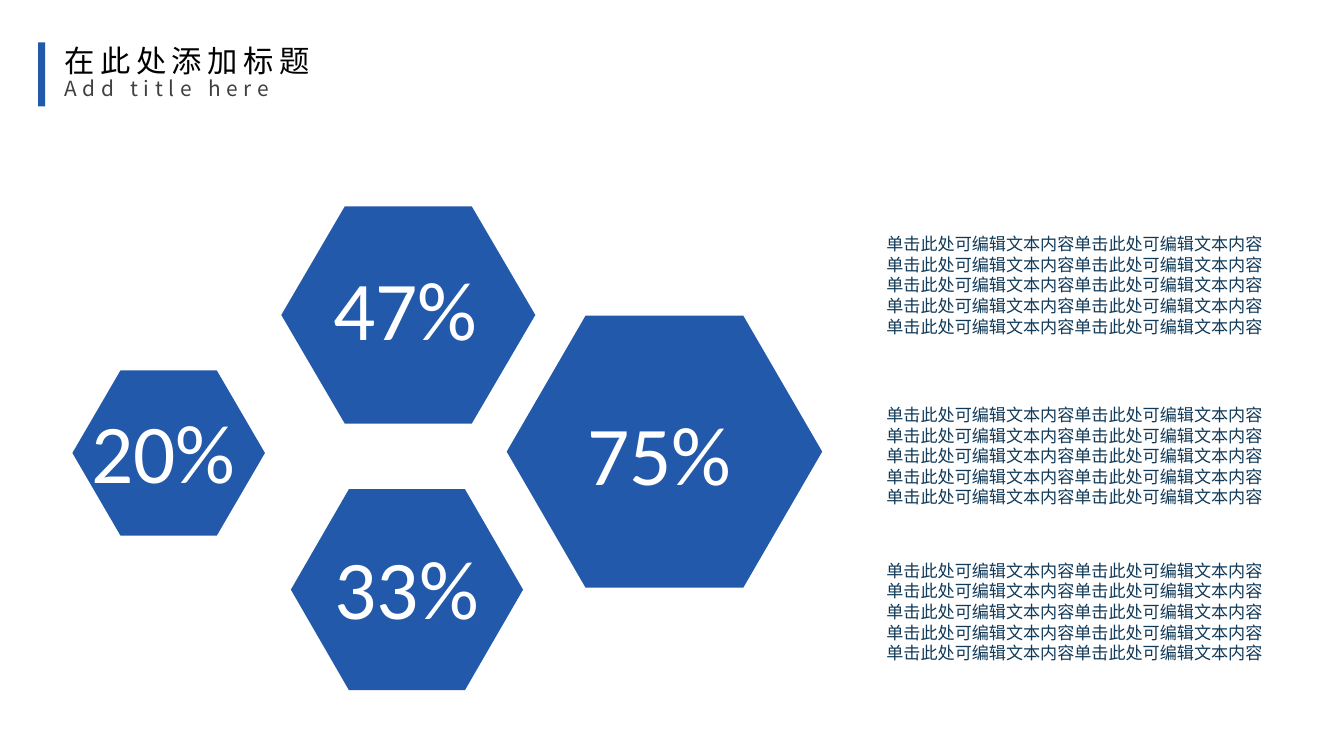
from dataclasses import dataclass

from lxml import etree
from pptx import Presentation
from pptx import util as u
from pptx.dml.color import RGBColor
from pptx.enum import shapes, text
from pptx.oxml.ns import qn


@dataclass(frozen=True)
class Theme:
    blue: str = "2259AA"
    white: str = "FFFFFF"
    navy: str = "113A59"
    black: str = "000000"
    gray: str = "404040"
    latin: str = "Calibri"
    cjk: str = "Noto Sans CJK SC"
    percent_size: int = 44
    title_size: int = 16
    subtitle_size: int = 11
    body_size: int = 9


THEME = Theme()
SENTENCE = "单击此处可编辑文本内容"

# Left, top, width, height of each hexagon; label; left and top of the label
HEXAGONS = [
    (0.53, 2.71, 1.41, 1.21, "20%", 0.6, 2.89),
    (2.06, 1.51, 1.86, 1.59, "47%", 2.37, 1.84),
    (2.13, 3.58, 1.7, 1.47, "33%", 2.38, 3.88),
    (3.71, 2.31, 2.31, 1.99, "75%", 4.23, 2.9),
]
BODY_TOPS = [1.67, 2.92, 4.06]


def paint(shape, color):
    shape.fill.solid()
    shape.fill.fore_color.rgb = RGBColor.from_string(color)
    shape.line.fill.background()
    shape.shadow.inherit = False


def add_hexagon(slide, left, top, width, height):
    inset = width / 4
    right, middle, bottom = left + width, top + height / 2, top + height
    points = [
        (left + inset, bottom), (left, middle), (left + inset, top),
        (right - inset, top), (right, middle), (right - inset, bottom),
    ]
    corners = [(u.Inches(x), u.Inches(y)) for x, y in points]
    builder = slide.shapes.build_freeform(*corners[0])
    builder.add_line_segments(corners[1:], close=True)
    paint(builder.convert_to_shape(), THEME.blue)


def add_text_frame(slide, left, top, width, height, wrap):
    box = slide.shapes.add_textbox(*map(u.Inches, (left, top, width, height)))
    frame = box.text_frame
    frame.word_wrap = wrap
    frame.auto_size = text.MSO_AUTO_SIZE.NONE if wrap else text.MSO_AUTO_SIZE.SHAPE_TO_FIT_TEXT
    frame.margin_left = frame.margin_right = u.Inches(0.07)
    frame.margin_top = frame.margin_bottom = u.Inches(0.04)
    return frame


def write(paragraph, words, *, size, color, font, tracking=0, line_spacing=None):
    run = paragraph.add_run()
    run.text = words
    run.font.size = u.Pt(size)
    run.font.name = font
    run.font.color.rgb = RGBColor.from_string(color)
    properties = run.font._element
    etree.SubElement(properties, qn("a:ea")).set("typeface", font)
    if tracking:
        properties.set("spc", str(tracking * 100))
    if line_spacing:
        paragraph.line_spacing = line_spacing


def add_heading(slide):
    accent = slide.shapes.add_shape(
        shapes.MSO_SHAPE.RECTANGLE, *map(u.Inches, (0.28, 0.31, 0.05, 0.47)))
    paint(accent, THEME.blue)
    heading = add_text_frame(slide, 0.4, 0.31, 2.01, 0.55, wrap=False)
    style = dict(font=THEME.cjk, tracking=3, line_spacing=0.86)
    write(heading.paragraphs[0], "在此处添加标题",
          size=THEME.title_size, color=THEME.black, **style)
    write(heading.add_paragraph(), "Add title here",
          size=THEME.subtitle_size, color=THEME.gray, **style)


def main():
    prs = Presentation()
    prs.slide_width, prs.slide_height = u.Inches(9.84), u.Inches(5.51)
    slide = prs.slides.add_slide(prs.slide_layouts[6])

    # Hexagons, then their percentages
    for *bounds, _, _, _ in HEXAGONS:
        add_hexagon(slide, *bounds)
    for *_, percent, left, top in HEXAGONS:
        label = add_text_frame(slide, left, top, 1.22, 0.82, wrap=False)
        write(label.paragraphs[0], percent, size=THEME.percent_size,
              color=THEME.white, font=THEME.latin)

    # Body texts
    for top in BODY_TOPS:
        body = add_text_frame(slide, 6.42, top, 3, 0.99, wrap=True)
        write(body.paragraphs[0], SENTENCE * 10, size=THEME.body_size,
              color=THEME.navy, font=THEME.latin)

    # Title with its accent bar
    add_heading(slide)
    prs.save("out.pptx")


if __name__ == "__main__":
    main()
